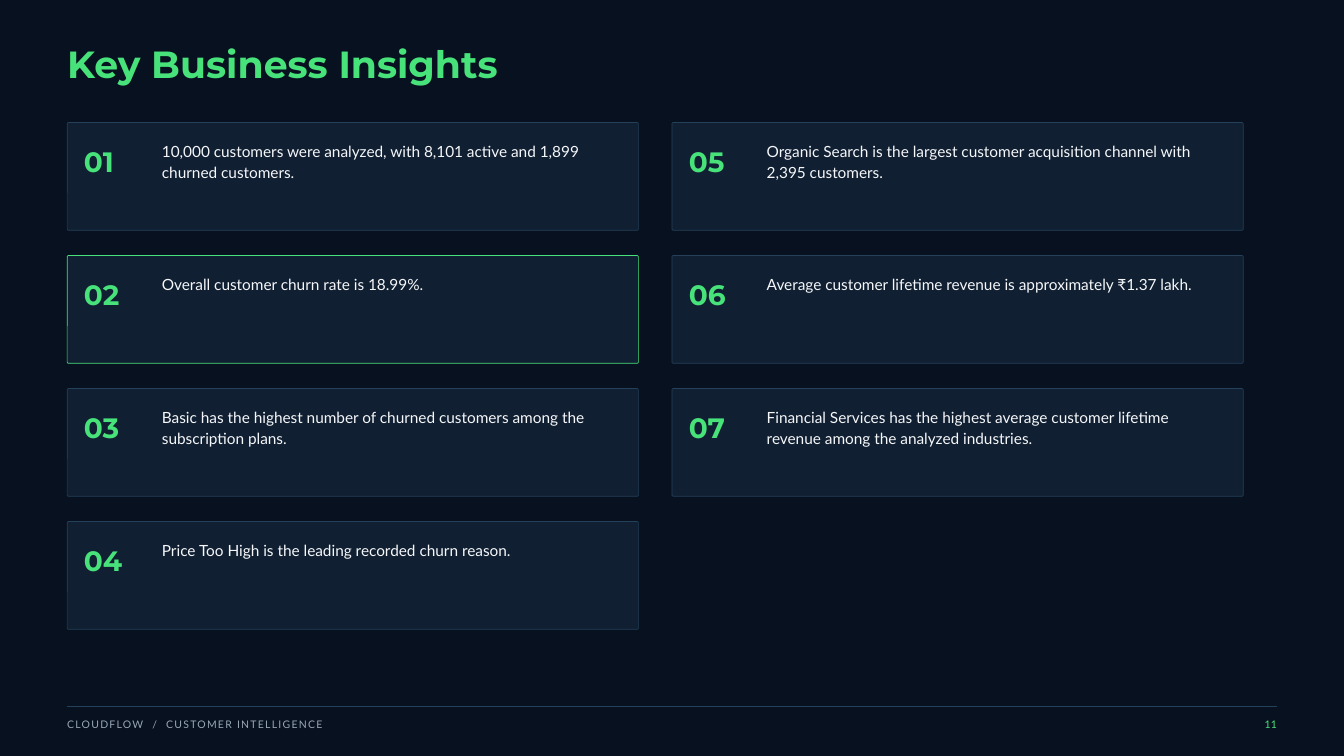
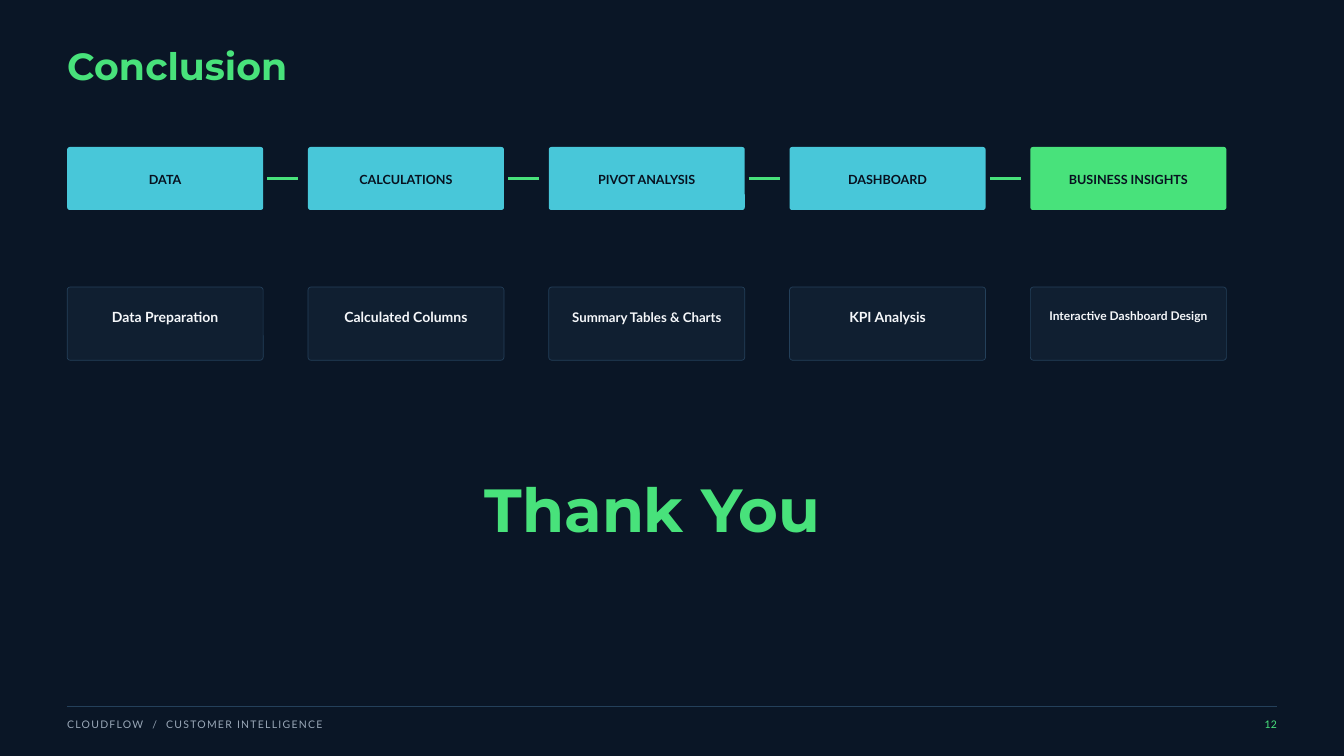
from lxml.etree import SubElement
from pptx import Presentation
from pptx.dml.color import RGBColor
from pptx.enum.shapes import MSO_CONNECTOR, MSO_SHAPE
from pptx.enum.text import MSO_ANCHOR, MSO_AUTO_SIZE, PP_ALIGN
from pptx.oxml.ns import qn
from pptx.util import Pt

GREEN, CYAN, INK = "48E27B", "48C7D9", "07111F"
PANEL, EDGE, WHITE, GREY = "101F31", "24405A", "F5F7FA", "9AA8B8"
HEAD, BODY = "Montserrat", "Lato"
LEFT, RIGHT = 72, 1368
CENTER, END = PP_ALIGN.CENTER, PP_ALIGN.RIGHT

FOOTER = "CLOUDFLOW  /  CUSTOMER INTELLIGENCE"
INSIGHTS = [
    "10,000 customers were analyzed, with 8,101 active and 1,899 churned customers.",
    "Overall customer churn rate is 18.99%.",
    "Basic has the highest number of churned customers among the subscription plans.",
    "Price Too High is the leading recorded churn reason.",
    "Organic Search is the largest customer acquisition channel with 2,395 customers.",
    "Average customer lifetime revenue is approximately ₹1.37 lakh.",
    "Financial Services has the highest average customer lifetime revenue among the analyzed industries.",
]
MARKED = 2
STEPS = [
    ("DATA", CYAN, "Data Preparation", 15, 327.6),
    ("CALCULATIONS", CYAN, "Calculated Columns", 15, 327.6),
    ("PIVOT ANALYSIS", CYAN, "Summary Tables & Charts", 14.2, 329),
    ("DASHBOARD", CYAN, "KPI Analysis", 15, 327.6),
    ("BUSINESS INSIGHTS", GREEN, "Interactive Dashboard Design", 12.8, 328.3),
]


def color(code):
    return RGBColor.from_string(code)


def write(slide, text, x, y, w, h, size, lead, font=BODY, ink=WHITE,
          bold=False, align=PP_ALIGN.LEFT, inset=0, middle=False, track=0):
    box = slide.shapes.add_textbox(Pt(x), Pt(y), Pt(w), Pt(h))
    frame = box.text_frame
    frame.word_wrap = True
    frame.auto_size = MSO_AUTO_SIZE.NONE if middle else MSO_AUTO_SIZE.SHAPE_TO_FIT_TEXT
    frame.vertical_anchor = MSO_ANCHOR.MIDDLE if middle else MSO_ANCHOR.TOP
    frame.margin_left = frame.margin_right = Pt(inset)
    frame.margin_top = frame.margin_bottom = Pt(inset)
    para = frame.paragraphs[0]
    para.alignment = align
    para.line_spacing = Pt(lead)
    run = para.add_run()
    run.text = text
    run.font.name = font
    run.font.size = Pt(size)
    run.font.bold = bold
    run.font.color.rgb = color(ink)
    if track:
        run.font._element.set("spc", str(int(track * 100)))


def panel(slide, x, y, w, h, radius, fill=PANEL, edge=EDGE):
    shape = slide.shapes.add_shape(MSO_SHAPE.ROUNDED_RECTANGLE, Pt(x), Pt(y), Pt(w), Pt(h))
    shape.adjustments[0] = radius / h
    shape.shadow.inherit = False
    shape.fill.solid()
    shape.fill.fore_color.rgb = color(fill)
    if edge:
        shape.line.color.rgb = color(edge)
        shape.line.width = Pt(0.75)
    else:
        shape.line.fill.background()


def rule(slide, x, end, y, ink, width):
    line = slide.shapes.add_connector(MSO_CONNECTOR.STRAIGHT, Pt(x), Pt(y), Pt(end), Pt(y))
    line.line.color.rgb = color(ink)
    line.line.width = Pt(width)
    SubElement(line._element.spPr, qn("a:effectLst"))


def start(deck, back, title, top, width):
    slide = deck.slides.add_slide(deck.slide_layouts[6])
    slide.background.fill.solid()
    slide.background.fill.fore_color.rgb = color(back)
    write(slide, title, LEFT, top, width, 43.7, 40.5, 43.7, HEAD, GREEN, True)
    return slide


def foot(slide, page):
    rule(slide, LEFT, RIGHT, 757.2, EDGE, 1)
    write(slide, FOOTER, LEFT, 766.8, 525, 14.4, 11.2, 15.7, ink=GREY, track=1.4)
    write(slide, str(page), RIGHT - 70.5, 766.8, 70.5, 14.4, 11.2, 15.7, ink=GREEN, align=END)


def insights(deck):
    slide = start(deck, INK, "Key Business Insights", 48.2, 825)
    rows = 4
    for i, text in enumerate(INSIGHTS):
        col, row = divmod(i, rows)
        x, y = LEFT + col * 648, 131.25 + row * 142.5
        panel(slide, x, y, 612, 115.5, 1.5, edge=GREEN if i + 1 == MARKED else EDGE)
        write(slide, f"{i + 1:02}", x + 18, y + 18, 83, 39.6, 30, 42, HEAD, GREEN, True)
        write(slide, text, x + 101.5, y + 18.5, 491, 42, 16.5, 22.3)
    foot(slide, 11)


def conclusion(deck):
    slide = start(deck, "0A1626", "Conclusion", 51, 600)
    wide, pitch = 210, 258
    for i, (step, fill, skill, size, top) in enumerate(STEPS):
        x = LEFT + i * pitch
        panel(slide, x, 157.5, wide, 67.5, 2.7, fill, None)
        write(slide, step, x, 156.25, wide, 68.4, 13.5, 18.9, ink=INK, bold=True,
              align=CENTER, inset=4.5, middle=True)
        if i < len(STEPS) - 1:
            rule(slide, x + wide + 4.5, x + wide + 37.5, 191.25, GREEN, 2.25)
        panel(slide, x, 307.5, wide, 78.5, 3.3)
        write(slide, skill, x + 12, top, wide - 24, size * 1.35, size, size * 1.4,
              bold=True, align=CENTER)
    write(slide, "Thank You", 507.6, 491.8, 371.5, 87.8, 65.2, 91.3, HEAD, GREEN, True, END)
    foot(slide, 12)


def main():
    deck = Presentation()
    deck.slide_width, deck.slide_height = Pt(1440), Pt(810)
    insights(deck)
    conclusion(deck)
    deck.save("out.pptx")


if __name__ == "__main__":
    main()
